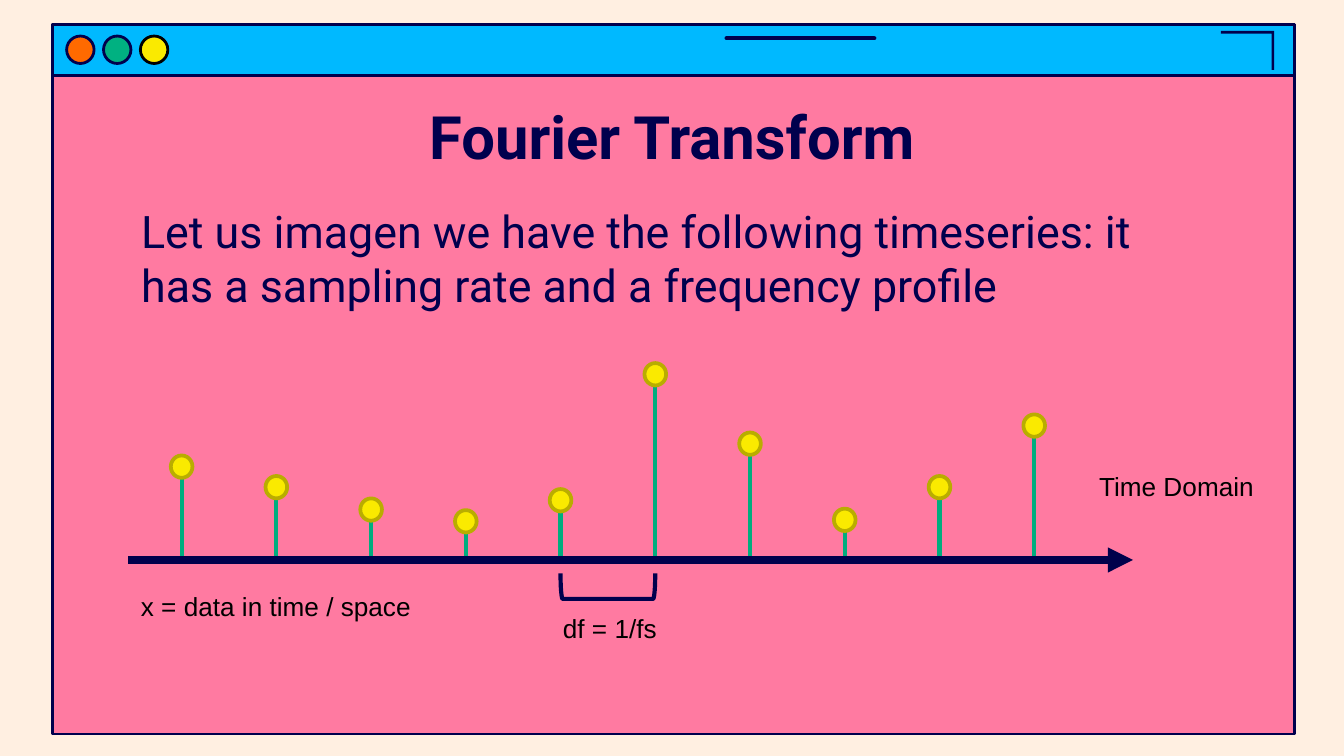
from dataclasses import dataclass

from lxml.etree import SubElement
from pptx import Presentation
from pptx.dml.color import RGBColor
from pptx.enum.shapes import MSO_CONNECTOR, MSO_SHAPE
from pptx.enum.text import MSO_ANCHOR, MSO_AUTO_SIZE, PP_ALIGN
from pptx.oxml.ns import qn
from pptx.util import Pt


@dataclass(frozen=True)
class Theme:
    paper: str = "FFEFE1"
    pink: str = "FF7AA1"
    sky: str = "00B9FF"
    navy: str = "00004D"
    axis: str = "00004B"
    black: str = "000000"
    orange: str = "FF6A00"
    green: str = "00B181"
    yellow: str = "FAEA00"
    stem: str = "00AD7E"
    olive: str = "B9AD00"
    display_font: str = "Roboto"
    label_font: str = "Arial"
    title_size: int = 32
    body_size: int = 24
    label_size: int = 14


class SlideBuilder:
    def __init__(self, slide, theme):
        self.slide = slide
        self.theme = theme
        background = slide.background.fill
        background.solid()
        background.fore_color.rgb = RGBColor.from_string(theme.paper)

    def paint(self, shape, fill, line, weight):
        """Set fill and outline; None leaves either one out."""
        shape.shadow.inherit = False
        for part, color in ((shape.fill, fill), (shape.line.fill, line)):
            if color is None:
                part.background()
            else:
                part.solid()
                part.fore_color.rgb = RGBColor.from_string(color)
        if line:
            shape.line.width = Pt(weight)
        return shape

    def shape(self, kind, left, top, width, height, fill=None, line=None, weight=1.5):
        shape = self.slide.shapes.add_shape(
            kind, Pt(left), Pt(top), Pt(width), Pt(height))
        return self.paint(shape, fill, line, weight)

    def outline(self, points, fill):
        start, *others = [(Pt(x), Pt(y)) for x, y in points]
        builder = self.slide.shapes.build_freeform(*start)
        builder.add_line_segments(others, close=True)
        return self.paint(builder.convert_to_shape(), fill, None, 0)

    def line(self, x1, y1, x2, y2, color, weight, arrow=False):
        connector = self.slide.shapes.add_connector(
            MSO_CONNECTOR.STRAIGHT, Pt(x1), Pt(y1), Pt(x2), Pt(y2))
        connector.line.color.rgb = RGBColor.from_string(color)
        connector.line.width = Pt(weight)
        properties = connector.element.spPr
        if arrow:
            SubElement(properties.find(qn("a:ln")), qn("a:tailEnd"), type="triangle")
        SubElement(properties, qn("a:effectLst"))

    def set_text(self, frame, text, font_name, size, color, bold=False):
        frame.text = text
        frame.word_wrap = True
        frame.vertical_anchor = MSO_ANCHOR.TOP
        font = frame.paragraphs[0].runs[0].font
        font.name = font_name
        font.size = Pt(size)
        font.bold = bold
        font.color.rgb = RGBColor.from_string(color)

    def label(self, left, top, width, text):
        box = self.slide.shapes.add_textbox(Pt(left), Pt(top), Pt(width), Pt(24.5))
        self.set_text(box.text_frame, text, self.theme.label_font,
                      self.theme.label_size, self.theme.black)

    def placeholder(self, index, left, top, width, height, text, size, align, bold=False):
        """Fill a placeholder and bring it in front of what is already drawn."""
        holder = self.slide.placeholders[index]
        holder.left, holder.top = Pt(left), Pt(top)
        holder.width, holder.height = Pt(width), Pt(height)
        frame = holder.text_frame
        frame.auto_size = MSO_AUTO_SIZE.NONE
        frame.margin_left = frame.margin_right = Pt(7.2)
        frame.margin_top = frame.margin_bottom = Pt(7.2)
        self.set_text(frame, text, self.theme.display_font, size, self.theme.navy, bold)
        paragraph = frame.paragraphs[0]
        properties = paragraph._p.get_or_add_pPr()
        properties.set("marL", "0")
        properties.set("indent", "0")
        SubElement(properties, qn("a:buNone"))
        paragraph.alignment = align
        paragraph.space_before = Pt(0)
        holder.element.getparent().append(holder.element)


def draw_window(builder):
    theme = builder.theme
    for height, fill in ((380.2, theme.pink), (27.4, theme.sky)):
        builder.shape(MSO_SHAPE.RECTANGLE, 28, 13, 665.4, height, fill, theme.navy)
    builder.outline([(654, 16.5), (682.6, 16.5), (682.6, 37.4), (681.2, 37.4),
                     (681.2, 18), (654, 18)], theme.navy)
    handle = builder.shape(MSO_SHAPE.ROUNDED_RECTANGLE, 388.2, 19.4, 81.3, 2, theme.navy)
    handle.adjustments[0] = 0.5
    buttons = ((theme.orange, theme.navy), (theme.green, theme.navy),
               (theme.yellow, theme.black))
    for index, (fill, line) in enumerate(buttons):
        builder.shape(MSO_SHAPE.OVAL, 35.7 + 19.75 * index, 19.3, 14.7, 14.7, fill, line)


def draw_timeseries(builder):
    theme = builder.theme
    axis_y, first_x, step = 300, 97.3, 50.75
    dot_width, dot_height = 11.6, 12
    sample_heights = (50, 39, 27, 20.7, 32, 99.5, 62.3, 21.5, 39, 72)
    samples = [(first_x + step * index, axis_y - height)
               for index, height in enumerate(sample_heights)]

    for x, y in samples:
        builder.line(x, y + 3, x, axis_y, theme.stem, 2.25)
    builder.line(68.8, axis_y, 607, axis_y, theme.axis, 4.5, arrow=True)
    for x, y in samples:
        builder.shape(MSO_SHAPE.OVAL, x - dot_width / 2, y - dot_height / 2,
                      dot_width, dot_height, theme.yellow, theme.olive, 2)

    builder.label(294.5, 324.7, 123, "df = 1/fs")
    builder.label(581.7, 248.5, 123, "Time Domain")
    builder.label(68.4, 312.7, 167, "x = data in time / space")

    depth = 13.7
    gap_middle = first_x + 4.5 * step
    bracket = builder.shape(MSO_SHAPE.LEFT_BRACKET, gap_middle - depth / 2,
                            314 - step / 2, depth, step, None, theme.navy, 2.25)
    bracket.rotation = 270


def main():
    presentation = Presentation()
    presentation.slide_width, presentation.slide_height = Pt(720), Pt(405)
    theme = Theme()
    slide = presentation.slides.add_slide(presentation.slide_layouts[1])
    builder = SlideBuilder(slide, theme)

    draw_window(builder)
    builder.placeholder(0, 56.2, 46.4, 607.6, 45.4, "Fourier Transform",
                        theme.title_size, PP_ALIGN.CENTER, bold=True)
    draw_timeseries(builder)
    builder.placeholder(1, 68.4, 101.8, 583.2, 252.7,
                        "Let us imagen we have the following timeseries: "
                        "it has a sampling rate and a frequency profile",
                        theme.body_size, PP_ALIGN.LEFT)
    presentation.save("out.pptx")


if __name__ == "__main__":
    main()
